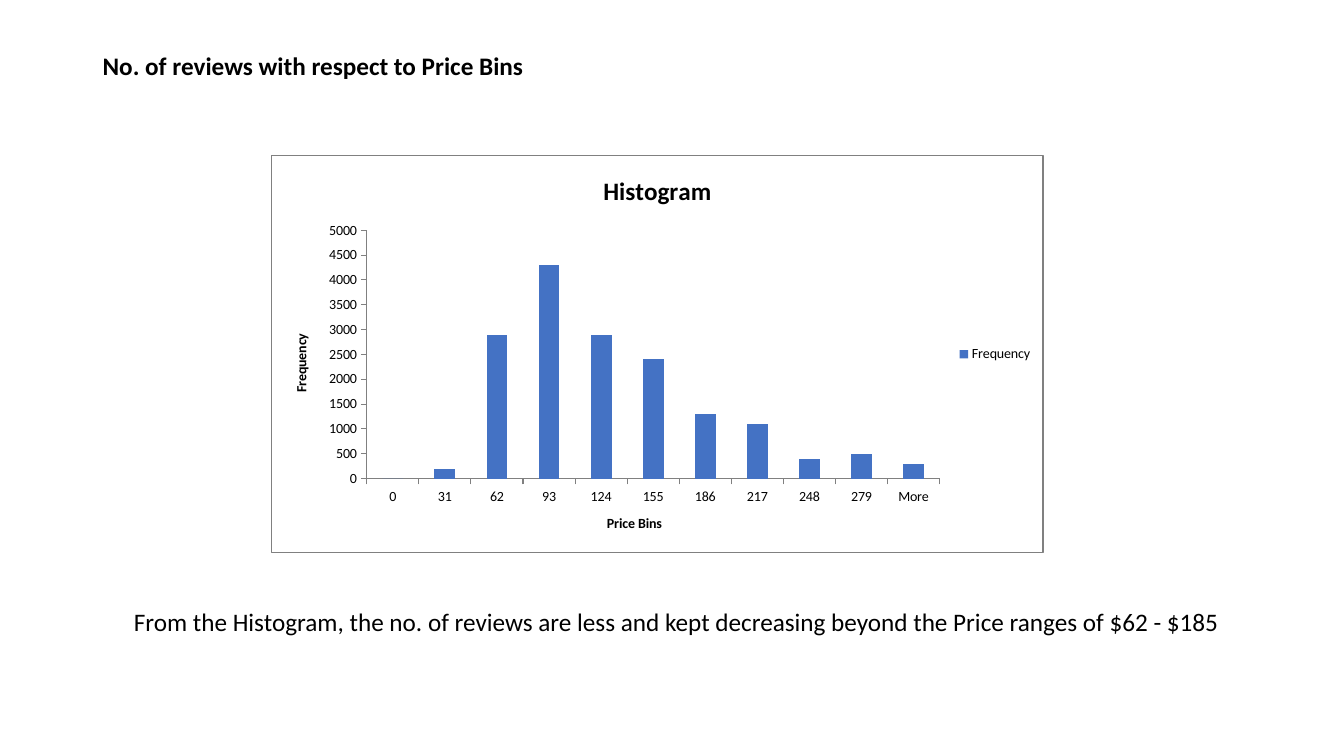
from lxml import etree
from pptx import Presentation
from pptx import util as u
from pptx.chart import data as cd
from pptx.dml import color
from pptx.enum import chart as ce, text
from pptx.oxml import ns


def rgb(code):
    """Turn a hex string into a colour."""
    return color.RGBColor.from_string(code)


class Page:
    """Hold the style and the current slide."""

    face, ink, blue, gray = "Calibri", "000000", "4472C4", "808080"

    def __init__(self, slide):
        """Keep the slide to draw on."""
        self.slide = slide

    def style(self, font, size, bold=False):
        """Set face, size, weight and colour of a font."""
        font.name, font.size, font.bold = self.face, u.Pt(size), bold
        font.color.rgb = rgb(self.ink)

    def label(self, box, words, size, bold=False, wrap=True, gap=1.0):
        """Add a text box with one run, centred in height; gap is line spacing."""
        frame = self.slide.shapes.add_textbox(*map(u.Inches, box)).text_frame
        frame.word_wrap = wrap
        frame.vertical_anchor = text.MSO_ANCHOR.MIDDLE
        para = frame.paragraphs[0]
        para.line_spacing = gap
        run = para.add_run()
        run.text = words
        self.style(run.font, size, bold)

    def title(self, owner, words, size):
        """Title a chart or an axis in bold."""
        run = owner.text_frame.paragraphs[0].add_run()
        run.text = words
        self.style(run.font, size, True)

    def border(self, chart):
        """Fill the chart area white and outline it."""
        area = etree.fromstring(
            f'<c:spPr {ns.nsdecls("c", "a")}>'
            '<a:solidFill><a:srgbClr val="FFFFFF"/></a:solidFill>'
            f'<a:ln w="{u.Pt(0.75)}"><a:solidFill><a:srgbClr val="{self.gray}"/>'
            '</a:solidFill></a:ln></c:spPr>')
        chart._chartSpace.find(ns.qn("c:chart")).addnext(area)

    def columns(self, box, head, names, bins, counts):
        """Add a column chart; names holds the two axis titles."""
        data = cd.CategoryChartData()
        data.categories = bins
        data.add_series(names[1], counts)
        chart = self.slide.shapes.add_chart(
            ce.XL_CHART_TYPE.COLUMN_CLUSTERED, *map(u.Inches, box), data).chart
        self.style(chart.font, 10)
        self.border(chart)
        self.title(chart.chart_title, head, 18)
        chart.has_legend = True
        chart.legend.position = ce.XL_LEGEND_POSITION.RIGHT
        chart.legend.include_in_layout = False
        plot = chart.plots[0]
        plot.gap_width, plot.vary_by_categories = 150, False
        fill = plot.series[0].format.fill
        fill.solid()
        fill.fore_color.rgb = rgb(self.blue)
        for axis, name in zip((chart.category_axis, chart.value_axis), names):
            self.title(axis.axis_title, name, 10)
            axis.has_major_gridlines = False
            axis.major_tick_mark = ce.XL_TICK_MARK.OUTSIDE
            axis.format.line.color.rgb = rgb(self.gray)
            axis.format.line.width = u.Pt(0.75)
        chart.value_axis.maximum_scale = 5000
        chart.value_axis.major_unit = 500


deck = Presentation()
deck.slide_width, deck.slide_height = u.Inches(13.33), u.Inches(7.5)
page = Page(deck.slides.add_slide(deck.slide_layouts[6]))
page.label((0.92, 0.28, 11.5, 0.78),
           "No. of reviews with respect to Price Bins", 18, bold=True, gap=0.9)
page.columns((2.69, 1.54, 7.66, 3.95), "Histogram", ("Price Bins", "Frequency"),
             [str(low) for low in range(0, 280, 31)] + ["More"],
             (0, 200, 2900, 4300, 2900, 2400, 1300, 1100, 400, 500, 300))
page.label((1.23, 5.97, 11.09, 0.4),
           "From the Histogram, the no. of reviews are less and kept "
           "decreasing beyond the Price ranges of $62 - $185", 18, wrap=False)
deck.save("out.pptx")
